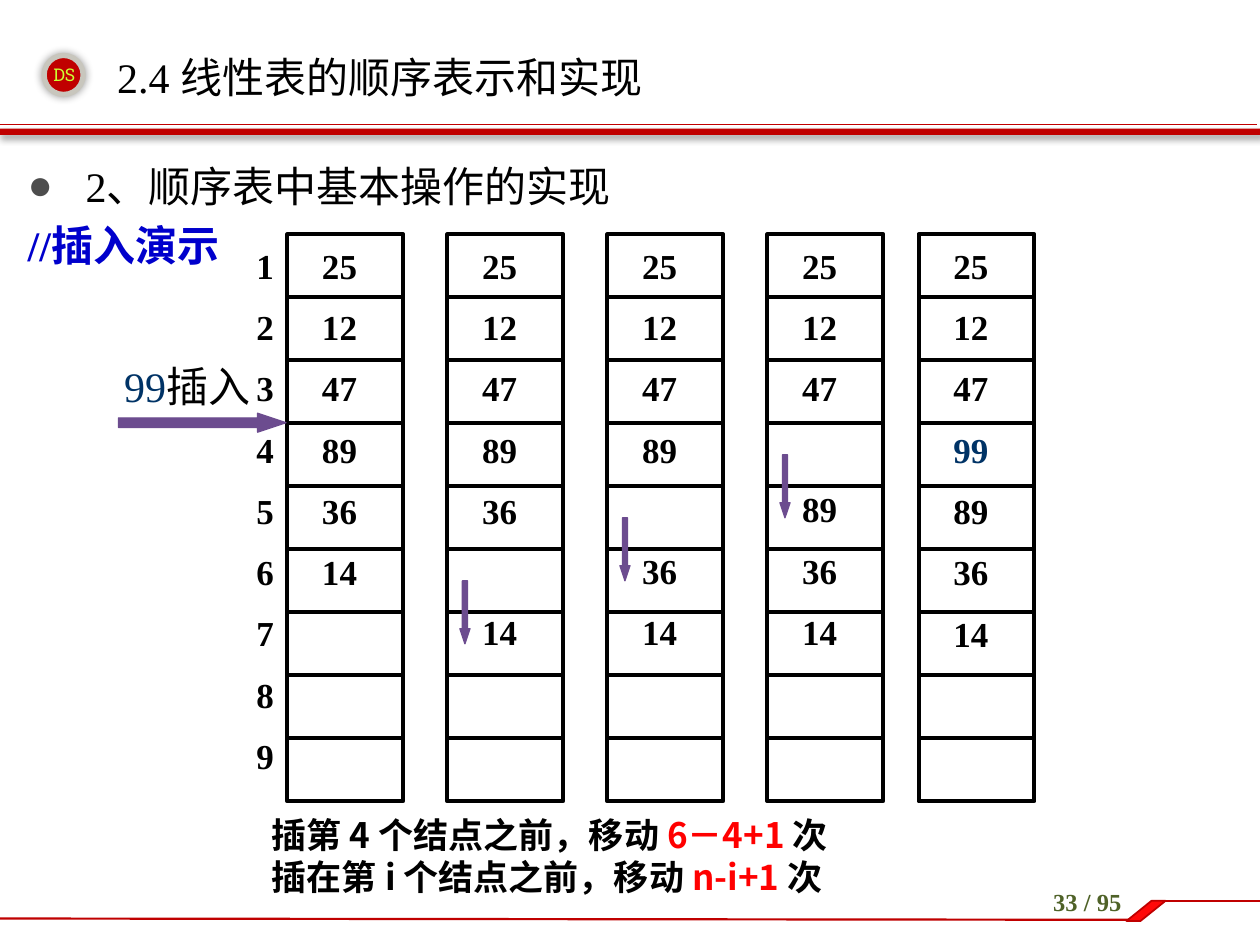
from lxml.etree import SubElement
from pptx import Presentation
from pptx.dml.color import RGBColor
from pptx.enum.shapes import MSO_CONNECTOR, MSO_SHAPE as Shape
from pptx.enum.text import MSO_ANCHOR as Anchor, MSO_AUTO_SIZE as AutoSize, PP_ALIGN as Align
from pptx.oxml.ns import qn
from pptx.util import Inches, Pt

BLACK = RGBColor(0x00, 0x00, 0x00)
WHITE = RGBColor(0xFF, 0xFF, 0xFF)
DARK_RED = RGBColor(0xC0, 0x00, 0x00)
BRIGHT_RED = RGBColor(0xFF, 0x09, 0x09)
RED = RGBColor(0xFF, 0x00, 0x00)
RING = RGBColor(0xC8, 0xC6, 0xBD)
LIME = RGBColor(0xCC, 0xFF, 0x33)
OLIVE = RGBColor(0x4F, 0x62, 0x28)
BLUE = RGBColor(0x00, 0x00, 0xCC)
NAVY = RGBColor(0x00, 0x33, 0x66)
PURPLE = RGBColor(0x6C, 0x4C, 0x8F)

SERIF = "Times New Roman"
SANS = "Noto Sans CJK SC"

# Storage columns: left edge, values (None is the freed cell)
COLUMNS = [
    (2.28, ["25", "12", "47", "89", "36", "14"]),
    (3.55, ["25", "12", "47", "89", "36", None, "14"]),
    (4.82, ["25", "12", "47", "89", None, "36", "14"]),
    (6.09, ["25", "12", "47", None, "89", "36", "14"]),
    (7.29, ["25", "12", "47", [("99", NAVY)], "89", "36", "14"]),
]
TOP, CELL_W, CELL_H, ROWS = 1.86, 0.92, 0.5, 9
VALUE_GAP, VALUE_PITCH = 11, 34  # points between and per value


def write_text(frame, paragraphs, size=20, font=SERIF, color=BLACK, bold=False,
               align=Align.LEFT, spacing=None):
    """Each paragraph is a string or a list of (text, colour) runs."""
    frame.word_wrap = True
    for index, content in enumerate(paragraphs):
        paragraph = frame.paragraphs[0] if index == 0 else frame.add_paragraph()
        paragraph.alignment = align
        if spacing:
            paragraph.line_spacing = Pt(spacing)
        for words, tint in [(content, color)] if isinstance(content, str) else content:
            run = paragraph.add_run()
            run.text = words
            run.font.size = Pt(size)
            run.font.name = font
            run.font.bold = bold
            run.font.color.rgb = tint
            if font == SANS:
                SubElement(run.font._element, qn("a:ea"), typeface=font)
    return frame


def add_text(slide, left, top, width, height, paragraphs, **text_format):
    box = slide.shapes.add_textbox(Inches(left), Inches(top), Inches(width), Inches(height))
    return write_text(box.text_frame, paragraphs, **text_format)


def add_shape(slide, kind, left, top, width, height, fill, line=None, weight=1, adjust=()):
    shape = slide.shapes.add_shape(kind, Inches(left), Inches(top), Inches(width), Inches(height))
    shape.shadow.inherit = False
    shape.fill.solid()
    shape.fill.fore_color.rgb = fill
    if line is None:
        shape.line.fill.background()
    else:
        shape.line.color.rgb = line
        shape.line.width = Pt(weight)
    for index, value in enumerate(adjust):
        shape.adjustments[index] = value
    return shape


def add_shadow(shape, blur, distance, angle):
    effects = shape._element.spPr.find(qn("a:effectLst"))
    shadow = SubElement(effects, qn("a:outerShdw"), blurRad=str(Pt(blur)), dist=str(Pt(distance)),
                        dir=str(angle * 60000), algn="ctr", rotWithShape="0")
    tint = SubElement(shadow, qn("a:srgbClr"), val="000000")
    SubElement(tint, qn("a:alpha"), val="40000")


def add_line(slide, x1, y1, x2, y2, color, weight):
    line = slide.shapes.add_connector(MSO_CONNECTOR.STRAIGHT, Inches(x1), Inches(y1),
                                      Inches(x2), Inches(y2))
    line.line.color.rgb = color
    line.line.width = Pt(weight)
    SubElement(line._element.spPr, qn("a:effectLst"))


def set_indent(paragraph, left, first=0.0, bullet=None):
    props = paragraph._p.get_or_add_pPr()
    props.set("marL", str(Inches(left)))
    props.set("indent", str(Inches(first)))
    if bullet:
        tint = SubElement(props, qn("a:buClr"))
        SubElement(tint, qn("a:srgbClr"), val="4D4D4D")
        SubElement(props, qn("a:buFont"), typeface=SERIF)
        SubElement(props, qn("a:buChar"), char=bullet)
    else:
        SubElement(props, qn("a:buNone"))


def place(placeholder, left, top, width, height, anchor):
    placeholder.left, placeholder.top = Inches(left), Inches(top)
    placeholder.width, placeholder.height = Inches(width), Inches(height)
    placeholder.text_frame.auto_size = AutoSize.NONE
    placeholder.text_frame.vertical_anchor = anchor
    return placeholder.text_frame


def add_frame(slide):
    # Header badge and rules
    badge = add_shape(slide, Shape.OVAL, 0.35, 0.44, 0.31, 0.31, DARK_RED, RING, 3)
    add_shadow(badge, 5, 0, 0)
    add_line(slide, -0.02, 0.99, 9.98, 0.99, DARK_RED, 0.25)
    rule = add_shape(slide, Shape.RECTANGLE, -0.03, 1.02, 10.03, 0.05, DARK_RED)
    add_shadow(rule, 4, 3, 45)
    add_text(slide, 0.24, 0.46, 0.54, 0.27, ["DS"], size=10, font="Roboto Slab",
             color=LIME, align=Align.CENTER)
    # Footer
    add_text(slide, 8, 6.99, 1.26, 0.4, ["33 / 95"], size=14, color=OLIVE, bold=True,
             align=Align.CENTER)
    add_line(slide, 0, 7.29, 8.96, 7.3, DARK_RED, 1.25)
    add_line(slide, 9.17, 7.15, 10, 7.15, DARK_RED, 1.5)
    add_shape(slide, Shape.PARALLELOGRAM, 8.94, 7.15, 0.31, 0.16, BRIGHT_RED, DARK_RED, 1, [1.24])


def add_values(slide, left, values):
    """Write a column of values; a None leaves one row open."""
    shown = [value for value in values if value is not None]
    height = 0.1 + 0.47 * len(values)
    frame = add_text(slide, left, TOP, 0.83, height, shown, bold=True, align=Align.CENTER)
    frame.margin_top = Inches(0.08)
    rows = [row for row, value in enumerate(values) if value is not None]
    for paragraph, before, row in zip(frame.paragraphs[1:], rows, rows[1:]):
        paragraph.space_before = Pt(VALUE_GAP + VALUE_PITCH * (row - before - 1))


def add_column(slide, left, values):
    add_shape(slide, Shape.RECTANGLE, left, TOP, CELL_W, ROWS * CELL_H, WHITE, BLACK, 2.25)
    for row in range(1, ROWS):
        y = TOP + row * CELL_H
        add_line(slide, left, y, left + CELL_W, y, BLACK, 2.25)
    add_values(slide, left, values)
    if None in values:
        arrow_top = TOP + (values.index(None) + 0.5) * CELL_H
        add_shape(slide, Shape.DOWN_ARROW, left + 0.1, arrow_top, 0.08, 0.5,
                  PURPLE, PURPLE, 0.75, [0.5, 1.5])


def main():
    deck = Presentation()
    deck.slide_width, deck.slide_height = Inches(10), Inches(7.5)
    slide = deck.slides.add_slide(deck.slide_layouts[1])
    add_frame(slide)

    # Title and heading list
    title = place(slide.shapes.title, 0.83, 0.3, 7.95, 0.61, Anchor.MIDDLE)
    write_text(title, ["2.4 线性表的顺序表示和实现"], size=24)
    body = place(slide.placeholders[1], 0.12, 1.15, 9.69, 6.14, Anchor.TOP)
    write_text(body, ["2、顺序表中基本操作的实现", [("//插入演示", BLUE)]], size=24, spacing=34)
    heading, demo = body.paragraphs
    heading.space_before = demo.space_before = Pt(0)
    set_indent(heading, 0.46, -0.46, "●")
    set_indent(demo, 0)
    demo.runs[0].font.bold = True

    # Stages of the insertion, with row numbers
    for left, values in COLUMNS:
        add_column(slide, left, values)
    add_values(slide, 1.69, [str(number) for number in range(1, ROWS + 1)])

    # Inserted element
    add_shape(slide, Shape.RIGHT_ARROW, 0.94, 3.28, 1.33, 0.15, PURPLE, PURPLE, 0.75, [0.5, 1.5])
    add_text(slide, 0.82, 2.81, 1.33, 0.51, [[("99", NAVY), ("插入", BLACK)]], size=24,
             align=Align.CENTER)

    # Number of moves
    moves = add_text(slide, 1.56, 6.41, 7.73, 0.77, [
        [("插第 4 个结点之前，移动 ", BLACK), ("6－4+1 ", RED), ("次", BLACK)],
        [("插在第 i 个结点之前，移动 ", BLACK), ("n-i+1 ", RED), ("次", BLACK)],
    ], font=SANS, bold=True, spacing=24)
    for paragraph in moves.paragraphs:
        paragraph.level = 1
        set_indent(paragraph, 0.5)

    deck.save("out.pptx")


if __name__ == "__main__":
    main()
